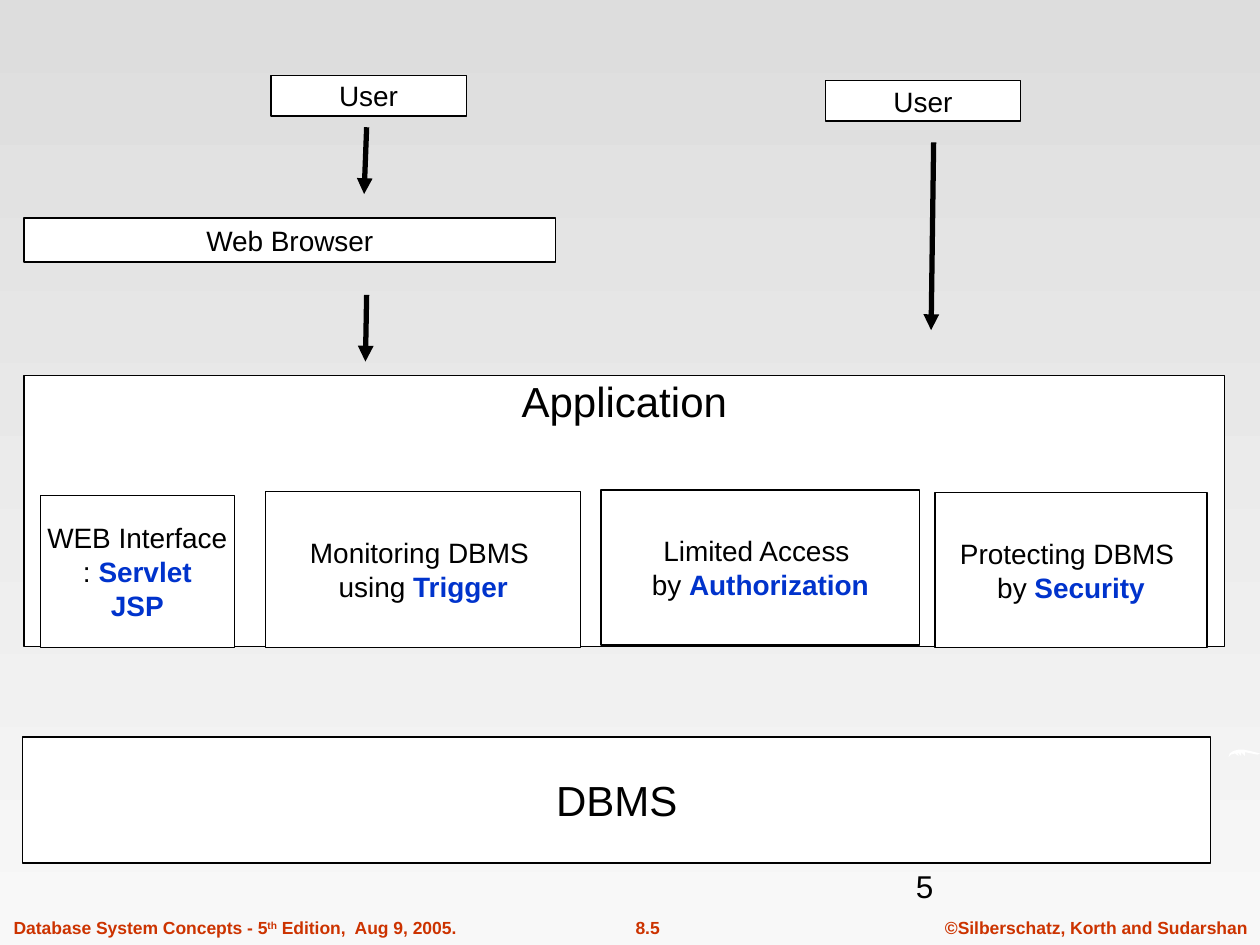
from lxml import etree
from pptx import Presentation
from pptx.dml.color import RGBColor
from pptx.enum.shapes import MSO_CONNECTOR, MSO_SHAPE
from pptx.enum.text import MSO_ANCHOR, PP_ALIGN
from pptx.oxml.ns import qn
from pptx.util import Inches, Pt

RECTANGLE = MSO_SHAPE.RECTANGLE
STRAIGHT = MSO_CONNECTOR.STRAIGHT
TOP, MIDDLE = MSO_ANCHOR.TOP, MSO_ANCHOR.MIDDLE
LEFT, CENTER = PP_ALIGN.LEFT, PP_ALIGN.CENTER

FONT = "Arial"
COLORS = {
    "background_top": "DDDDDD",
    "background_bottom": "F8F8F8",
    "box": "FFFFFF",
    "ink": "000000",
    "keyword": "0033CC",
    "footer": "CC3300",
}


def rgb(name):
    return RGBColor.from_string(COLORS[name])


class DiagramSlide:
    def __init__(self, slide):
        self.slide = slide

    def background(self):
        fill = self.slide.background.fill
        fill.gradient()
        fill.gradient_angle = 270
        for stop, name in zip(fill.gradient_stops, ("background_top", "background_bottom")):
            stop.color.rgb = rgb(name)

    def add_run(self, paragraph, text, size, color="ink", bold=False):
        run = paragraph.add_run()
        run.text = text
        run.font.name = FONT
        run.font.size = Pt(size)
        run.font.bold = bold
        run.font.color.rgb = rgb(color)
        return run

    def box(self, place, lines, size=16, anchor=MIDDLE):
        """Draw a bordered box; each line is a plain part and a keyword part."""
        shape = self.slide.shapes.add_shape(RECTANGLE, *map(Inches, place))
        shape.shadow.inherit = False
        shape.fill.solid()
        shape.fill.fore_color.rgb = rgb("box")
        shape.line.color.rgb = rgb("ink")
        shape.line.width = Pt(0.75)
        frame = shape.text_frame
        frame.word_wrap = False
        frame.vertical_anchor = anchor
        if anchor == TOP:
            frame.margin_top = 0
        for index, (plain, keyword) in enumerate(lines):
            paragraph = frame.add_paragraph() if index else frame.paragraphs[0]
            paragraph.alignment = CENTER
            if plain:
                self.add_run(paragraph, plain, size)
            if keyword:
                self.add_run(paragraph, keyword, size, "keyword", True)

    def arrow(self, start, end):
        connector = self.slide.shapes.add_connector(STRAIGHT, *map(Inches, start + end))
        connector.line.color.rgb = rgb("ink")
        connector.line.width = Pt(3)
        etree.SubElement(connector.line._get_or_add_ln(), qn("a:tailEnd"), type="triangle")
        etree.SubElement(connector._element.spPr, qn("a:effectLst"))

    def text(self, place, parts, size, color="ink", bold=False, align=LEFT):
        """Add a line of text; each part is its wording and its baseline shift."""
        frame = self.slide.shapes.add_textbox(*map(Inches, place)).text_frame
        frame.word_wrap = False
        paragraph = frame.paragraphs[0]
        paragraph.alignment = align
        for wording, baseline in parts:
            run = self.add_run(paragraph, wording, size, color, bold)
            if baseline:
                run.font._element.set("baseline", str(baseline * 1000))

    def outline(self, points):
        corners = [(Inches(x), Inches(y)) for x, y in points]
        builder = self.slide.shapes.build_freeform(*corners[0])
        builder.add_line_segments(corners[1:], close=True)
        shape = builder.convert_to_shape()
        shape.shadow.inherit = False
        shape.fill.solid()
        shape.fill.fore_color.rgb = rgb("box")
        shape.line.fill.background()


def main():
    presentation = Presentation()
    presentation.slide_width = Inches(10)
    presentation.slide_height = Inches(7.5)
    diagram = DiagramSlide(presentation.slides.add_slide(presentation.slide_layouts[6]))
    diagram.background()

    # Footer
    footer = [
        ((7.4, 7.23, 2.6, 0.27), CENTER, [("©Silberschatz, Korth and Sudarshan", 0)]),
        ((4.65, 7.23, 0.98, 0.27), CENTER, [("8.5", 0)]),
        ((0.01, 7.23, 3.72, 0.27), LEFT,
         [("Database System Concepts - 5", 0), ("th", 30), (" Edition,  Aug 9, 2005.", 0)]),
    ]
    for place, align, parts in footer:
        diagram.text(place, parts, 10, "footer", True, align)

    # White sliver at the right edge
    diagram.outline([
        (9.75, 6.01), (9.76, 5.98), (9.79, 5.96), (9.83, 5.95), (9.87, 5.95),
        (9.92, 5.96), (9.96, 5.97), (10, 5.98), (9.98, 5.99), (9.93, 5.98),
        (9.88, 5.97), (9.88, 6), (9.85, 5.97), (9.85, 6), (9.82, 5.97),
        (9.83, 6), (9.8, 5.98), (9.77, 5.99),
    ])

    # Database and application layers
    diagram.box((0.18, 5.85, 9.43, 1), [("DBMS", "")], 24)
    diagram.box((0.19, 2.98, 9.53, 2.15), [("Application", "")], 24, TOP)

    # Application parts
    diagram.box((2.11, 3.9, 2.5, 1.24), [("Monitoring DBMS ", ""), ("using ", "Trigger")])
    diagram.box((4.77, 3.89, 2.53, 1.23), [("Limited Access ", ""), ("by ", "Authorization")])
    diagram.box((0.32, 3.93, 1.54, 1.21),
                [("WEB Interface", ""), (": ", "Servlet"), ("", "JSP")])
    diagram.box((7.42, 3.91, 2.16, 1.23), [("Protecting DBMS ", ""), ("by ", "Security")])

    # Users and browser
    diagram.box((2.15, 0.6, 1.55, 0.32), [("User", "")])
    diagram.box((6.55, 0.64, 1.55, 0.32), [("User", "")])
    diagram.box((0.19, 1.73, 4.22, 0.35), [("Web Browser", "")])

    # Arrows down to the application
    diagram.arrow((2.91, 1.01), (2.89, 1.54))
    diagram.arrow((2.91, 2.34), (2.9, 2.87))
    diagram.arrow((7.41, 1.13), (7.39, 2.62))

    # Page number
    diagram.text((7.17, 6.83, 2.08, 0.5), [("5", 0)], 18)

    presentation.save("out.pptx")


if __name__ == "__main__":
    main()
